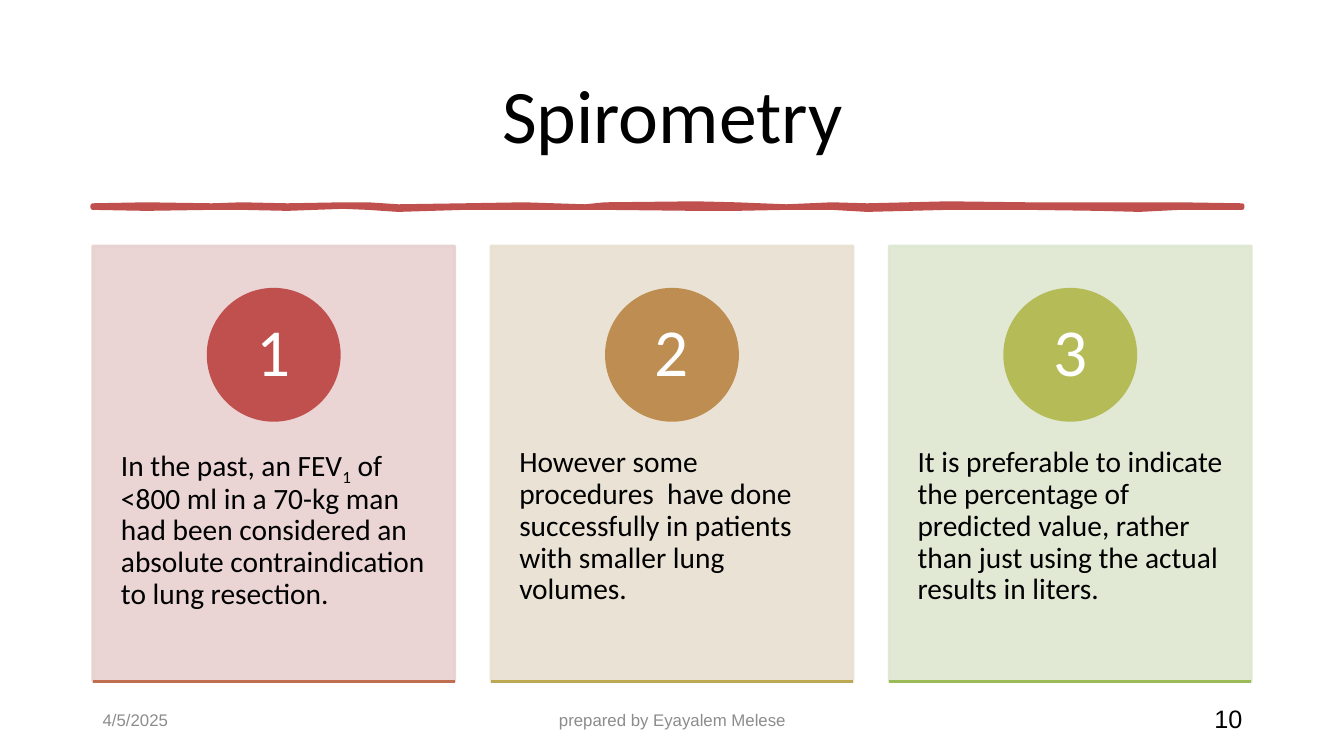
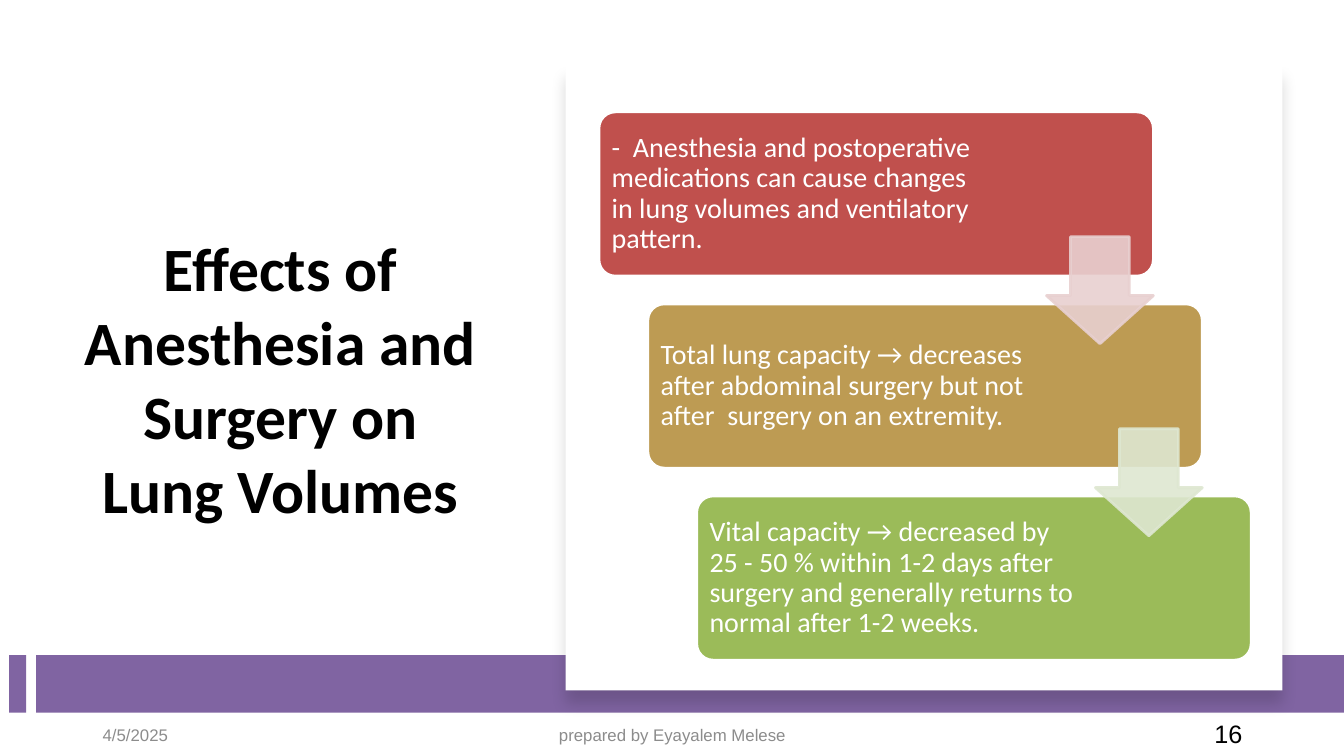
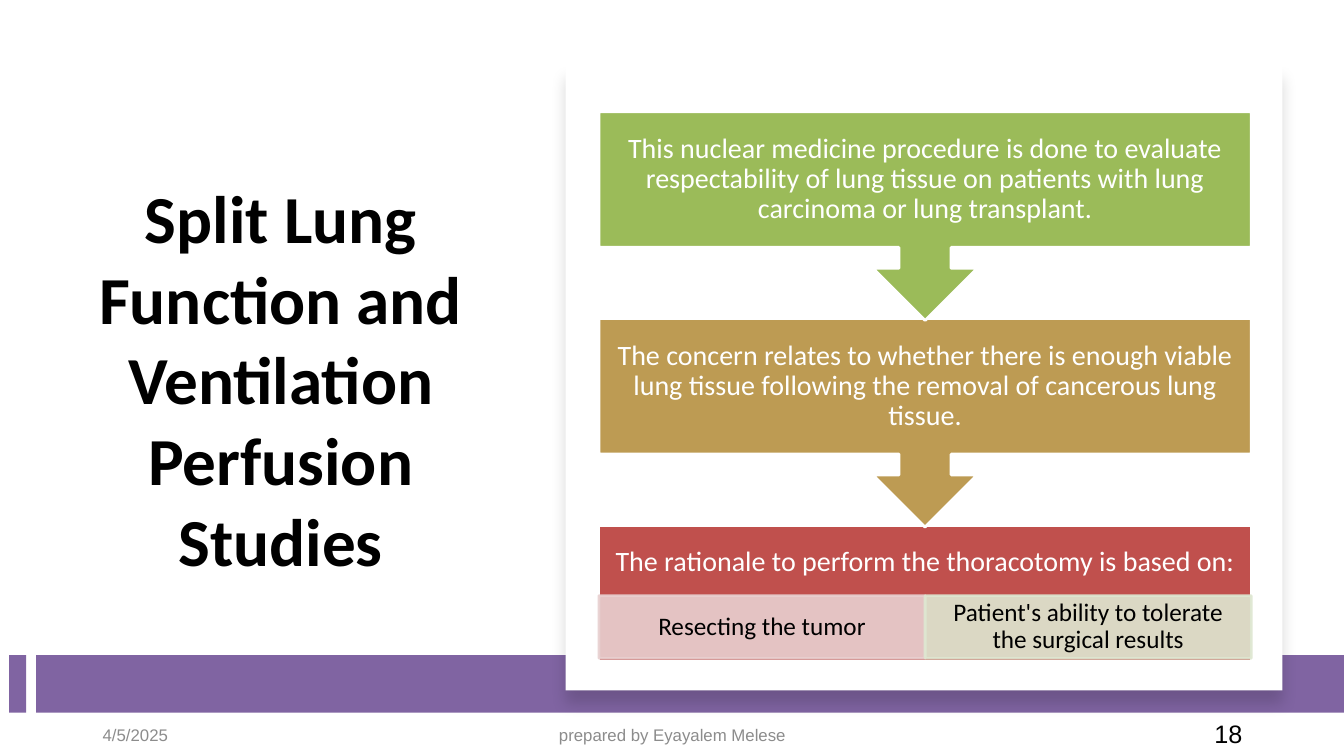
from lxml import etree
from pptx import Presentation
from pptx.dml.color import RGBColor
from pptx.enum.shapes import MSO_CONNECTOR, MSO_SHAPE
from pptx.enum.text import MSO_ANCHOR, MSO_AUTO_SIZE, PP_ALIGN
from pptx.oxml.ns import qn
from pptx.util import Inches, Pt

LEFT, CENTER, RIGHT = PP_ALIGN.LEFT, PP_ALIGN.CENTER, PP_ALIGN.RIGHT
TOP, MIDDLE = MSO_ANCHOR.TOP, MSO_ANCHOR.MIDDLE
RECTANGLE, ROUNDED = MSO_SHAPE.RECTANGLE, MSO_SHAPE.ROUNDED_RECTANGLE
OVAL, DOWN_ARROW = MSO_SHAPE.OVAL, MSO_SHAPE.DOWN_ARROW
DOWN_CALLOUT = MSO_SHAPE.DOWN_ARROW_CALLOUT
STRAIGHT = MSO_CONNECTOR.STRAIGHT
NO_AUTOFIT = MSO_AUTO_SIZE.NONE

RED, GOLD, GREEN, PURPLE = "C0504D", "BD9B53", "9BBB59", "8064A2"
PALE_RED, PALE_GOLD, PALE_GREEN = "E8D0D0", "E8E1D1", "DEE7D1"
WHITE, BLACK, GRAY = "FFFFFF", "000000", "8C8C8C"

DATE, AUTHOR = "4/5/2025", "prepared by Eyayalem Melese"

CARDS = [
    (["In the past, an FEV", ("1", -25), " of <800 ml in a 70-kg man had been considered "
      "an absolute contraindication to lung resection."], PALE_RED, RED, "BF6F4F"),
    ("However some procedures  have done successfully in patients with smaller lung volumes.",
     PALE_GOLD, "BE8D52", "BDA954"),
    ("It is preferable to indicate the percentage of predicted value, rather than just "
     "using the actual results in liters.", PALE_GREEN, "B5BC57", GREEN),
]
BRUSH_STROKE = [
    (0.92, 2.04, 2.06), (1.45, 2.03, 2.07), (2.1, 2.04, 2.06), (2.4, 2.03, 2.06),
    (2.85, 2.04, 2.07), (3.4, 2.03, 2.05), (3.65, 2.03, 2.06), (3.95, 2.05, 2.08),
    (4.6, 2.04, 2.06), (5.2, 2.03, 2.06), (5.8, 2.05, 2.06), (6.0, 2.03, 2.06),
    (6.9, 2.02, 2.07), (7.3, 2.03, 2.07), (7.8, 2.05, 2.06), (8.25, 2.03, 2.06),
    (8.6, 2.04, 2.08), (9.4, 2.02, 2.06), (10.2, 2.03, 2.06), (10.9, 2.03, 2.07),
    (11.3, 2.03, 2.08), (11.7, 2.03, 2.06), (12.32, 2.04, 2.06),
]
STEPS = [
    ("-  Anesthesia and postoperative medications can cause changes in lung volumes "
     "and ventilatory pattern.", RED),
    ("Total lung capacity → decreases after abdominal surgery but not after  surgery "
     "on an extremity.", GOLD),
    ("Vital capacity → decreased by 25 - 50 % within 1-2 days after surgery and "
     "generally returns to normal after 1-2 weeks.", GREEN),
]
STEP_ARROWS = [PALE_RED, PALE_GREEN]
CALLOUTS = [
    ("This nuclear medicine procedure is done to evaluate respectability of lung tissue "
     "on patients with lung carcinoma or lung transplant.", GREEN),
    ("The concern relates to whether there is enough viable lung tissue following the "
     "removal of cancerous lung tissue.", GOLD),
]
RATIONALE = "The rationale to perform the thoracotomy is based on:"
CRITERIA = [
    ("Resecting the tumor", PALE_RED),
    ("Patient's ability to tolerate the surgical results", PALE_GREEN),
]


def color(hex_value):
    return RGBColor.from_string(hex_value)


def write(shape, text, size=20, fill=WHITE, font="Calibri", bold=False, align=LEFT,
          anchor=MIDDLE, spacing=0.9, insets=(0.1, 0.05, 0.1, 0.05)):
    frame = shape.text_frame
    frame.word_wrap = True
    frame.auto_size = NO_AUTOFIT
    frame.vertical_anchor = anchor
    frame.margin_left, frame.margin_top, frame.margin_right, frame.margin_bottom = map(Inches, insets)
    paragraph = frame.paragraphs[0]
    paragraph.alignment = align
    paragraph.line_spacing = spacing
    for part in [text] if isinstance(text, str) else text:
        words, baseline = (part, 0) if isinstance(part, str) else part
        run = paragraph.add_run()
        run.text = words
        run.font.name = font
        run.font.size = Pt(size)
        run.font.bold = bold
        run.font.color.rgb = color(fill)
        if baseline:
            run.font._element.set("baseline", str(baseline * 1000))


def set_opacity(shape, percent):
    for solid in shape._element.spPr.iter(qn("a:solidFill")):
        etree.SubElement(solid[0], qn("a:alpha")).set("val", str(percent * 1000))


def add_box(slide, kind, left, top, width, height, fill, line=None, opacity=100):
    shape = slide.shapes.add_shape(kind, Inches(left), Inches(top), Inches(width), Inches(height))
    shape.shadow.inherit = False
    shape.fill.solid()
    shape.fill.fore_color.rgb = color(fill)
    if line:
        shape.line.color.rgb = color(line)
        shape.line.width = Pt(2)
    else:
        shape.line.fill.background()
    if opacity < 100:
        set_opacity(shape, opacity)
    return shape


def add_pale_box(slide, kind, left, top, width, height, fill):
    return add_box(slide, kind, left, top, width, height, fill, line=fill, opacity=90)


def add_label(slide, text, left, top, width, height, **style):
    write(slide.shapes.add_textbox(Inches(left), Inches(top), Inches(width), Inches(height)),
          text, **style)


def add_slide(presentation, title, number, bounds, footer_top, size, bold=False):
    slide = presentation.slides.add_slide(presentation.slide_layouts[5])
    heading = slide.shapes.title
    heading.left, heading.top, heading.width, heading.height = map(Inches, bounds)
    write(heading, title, size=size, fill=BLACK, bold=bold, align=CENTER, spacing=1.0)
    footers = [
        (DATE, 0.92, 3, 12, GRAY, LEFT),
        (AUTHOR, 4.42, 4.5, 12, GRAY, CENTER),
        (str(number), 9.42, 3, 18, BLACK, RIGHT),
    ]
    for text, left, width, font_size, fill, align in footers:
        add_label(slide, text, left, footer_top, width, 0.4, size=font_size, fill=fill,
                  font="Arial", align=align)
    return slide


def add_panel_slide(presentation, title, number, size):
    slide = add_slide(presentation, title, number, (0.71, 1.2, 4.15, 5.1), 7.1, size, bold=True)
    for left, width in [(0.09, 0.17), (0.36, 12.97)]:
        add_box(slide, RECTANGLE, left, 6.5, width, 0.57, PURPLE)
    panel = add_box(slide, RECTANGLE, 5.61, 0.64, 7.11, 6.21, WHITE)
    effects = panel._element.spPr.find(qn("a:effectLst"))
    shadow = etree.SubElement(effects, qn("a:outerShdw"), blurRad=str(Pt(11)),
                              dist=str(Pt(10)), dir="5400000", algn="t", rotWithShape="0")
    shade = etree.SubElement(shadow, qn("a:srgbClr"), val=BLACK)
    etree.SubElement(shade, qn("a:alpha"), val="15000")
    return slide


def add_brush_stroke(slide):
    upper = [(Inches(x), Inches(top)) for x, top, bottom in BRUSH_STROKE]
    lower = [(Inches(x), Inches(bottom)) for x, top, bottom in reversed(BRUSH_STROKE)]
    builder = slide.shapes.build_freeform(*upper[0], scale=1.0)
    builder.add_line_segments(upper[1:] + lower, close=True)
    stroke = builder.convert_to_shape()
    stroke.shadow.inherit = False
    stroke.fill.solid()
    stroke.fill.fore_color.rgb = color(RED)
    stroke.line.color.rgb = color(RED)
    stroke.line.width = Pt(3.25)


def build_spirometry(presentation):
    slide = add_slide(presentation, "Spirometry", 10, (0.92, 0.4, 11.5, 1.45), 6.95, 54)
    add_brush_stroke(slide)
    top, width, height, pitch, diameter = 2.44, 3.59, 4.32, 3.95, 1.3
    for index, (text, pale, accent, rule) in enumerate(CARDS):
        left = 0.92 + index * pitch
        card = add_pale_box(slide, RECTANGLE, left, top, width, height, pale)
        write(card, text, size=21, fill=BLACK, anchor=TOP, insets=(0.28, 2, 0.28, 0.36))
        badge = add_box(slide, OVAL, left + (width - diameter) / 2, 2.87, diameter, diameter,
                        accent, line=accent)
        write(badge, str(index + 1), size=48, align=CENTER, insets=(0, 0, 0, 0))
        base = Inches(top + height)
        line = slide.shapes.add_connector(STRAIGHT, Inches(left), base, Inches(left + width), base)
        line.line.color.rgb = color(rule)
        line.line.width = Pt(2)
        etree.SubElement(line._element.spPr, qn("a:effectLst"))


def build_effects(presentation):
    slide = add_panel_slide(presentation, "Effects of Anesthesia and Surgery on Lung Volumes", 16, 44)
    shift, pitch = 0.485, 1.905
    for index, (text, fill) in enumerate(STEPS):
        step = add_box(slide, ROUNDED, 5.94 + index * shift, 1.11 + index * pitch, 5.5, 1.63,
                       fill, line=WHITE)
        step.adjustments[0] = 0.1
        write(step, text, insets=(0.08, 0.08, 1.68, 0.08))
    for index, fill in enumerate(STEP_ARROWS):
        arrow = add_pale_box(slide, DOWN_ARROW, 10.38 + index * shift, 2.35 + index * pitch,
                             1.06, 1.06, fill)
        arrow.adjustments[0] = 0.55
        arrow.adjustments[1] = 0.45


def build_split_function(presentation):
    slide = add_panel_slide(presentation, "Split Lung Function and Ventilation Perfusion Studies", 18, 48)
    left, width, pitch = 5.94, 6.47, 2.05
    rationale = add_box(slide, RECTANGLE, left, 5.21, width, 1.35, RED, line=WHITE)
    write(rationale, RATIONALE, align=CENTER, insets=(0.14, 0.16, 0.14, 0.78))
    part = width / len(CRITERIA)
    for index, (text, fill) in enumerate(CRITERIA):
        criterion = add_pale_box(slide, RECTANGLE, left + index * part, 5.91, part, 0.62, fill)
        write(criterion, text, size=18, fill=BLACK, align=CENTER, insets=(0.14, 0.03, 0.14, 0.03))
    for index, (text, fill) in reversed(list(enumerate(CALLOUTS))):
        callout = add_box(slide, DOWN_CALLOUT, left, 1.11 + index * pitch, width, 2.07,
                          fill, line=WHITE)
        write(callout, text, align=CENTER, insets=(0.16, 0.16, 0.16, 0.16))


def main():
    presentation = Presentation()
    presentation.slide_width, presentation.slide_height = Inches(13.33), Inches(7.5)
    build_spirometry(presentation)
    build_effects(presentation)
    build_split_function(presentation)
    presentation.save("out.pptx")


if __name__ == "__main__":
    main()
